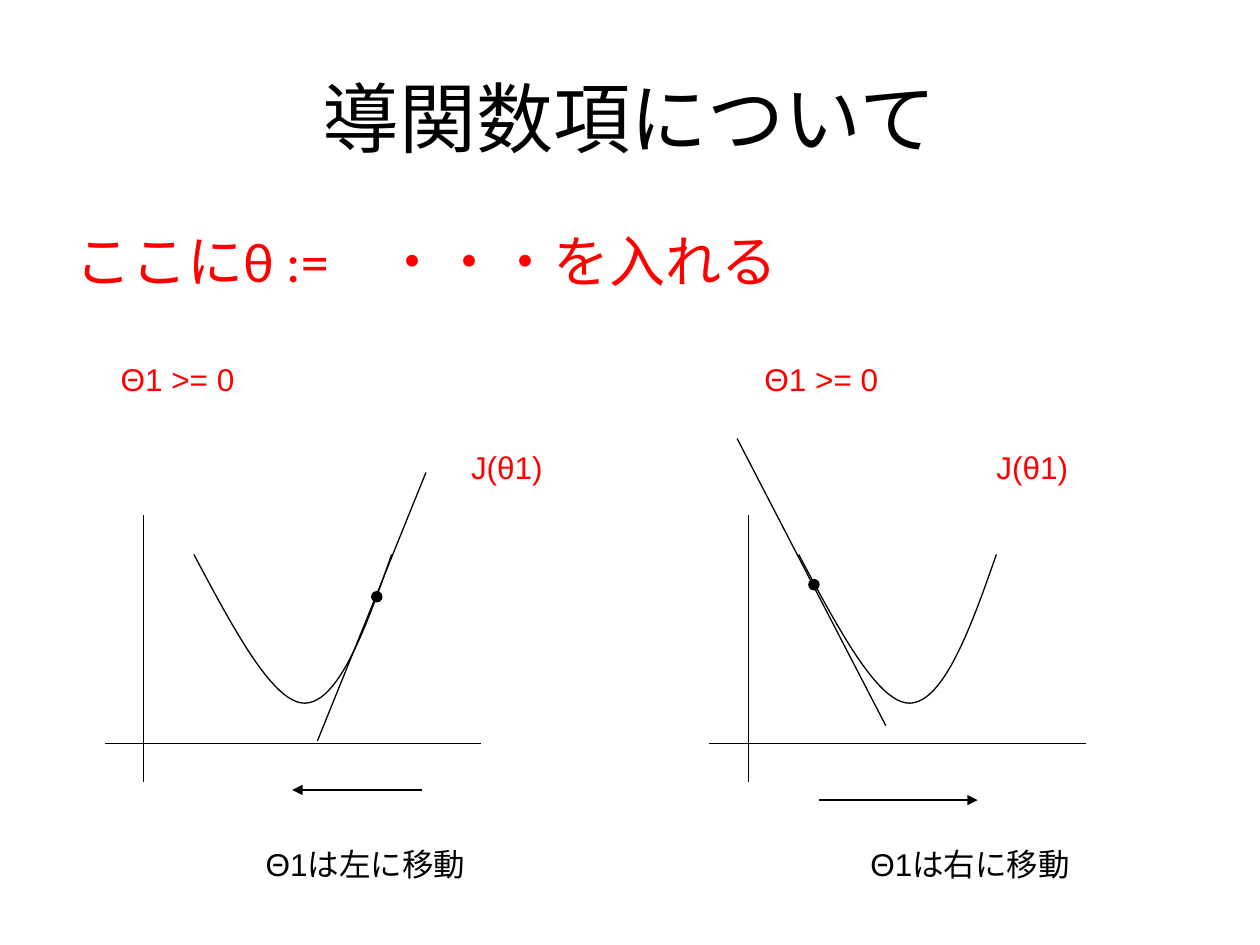
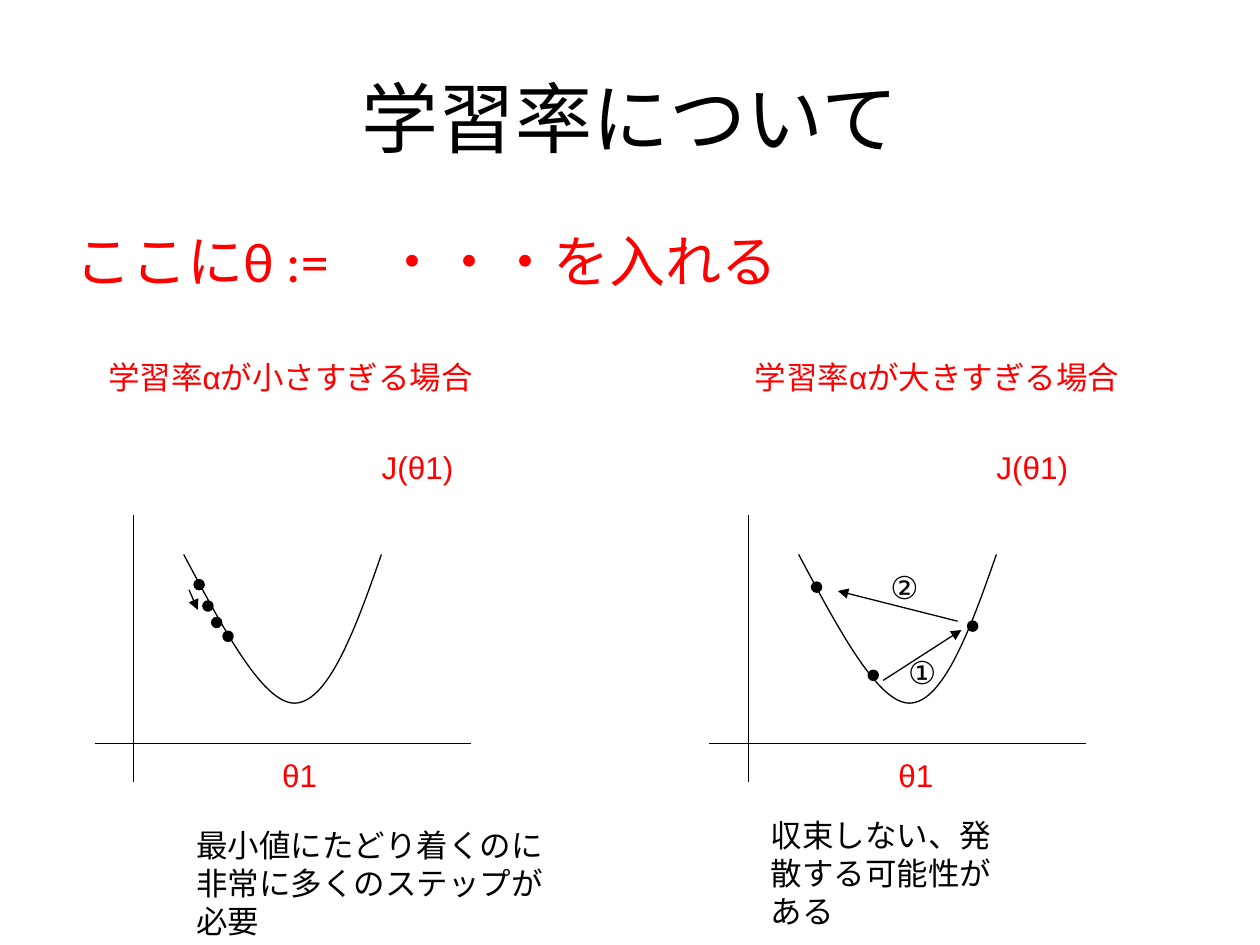
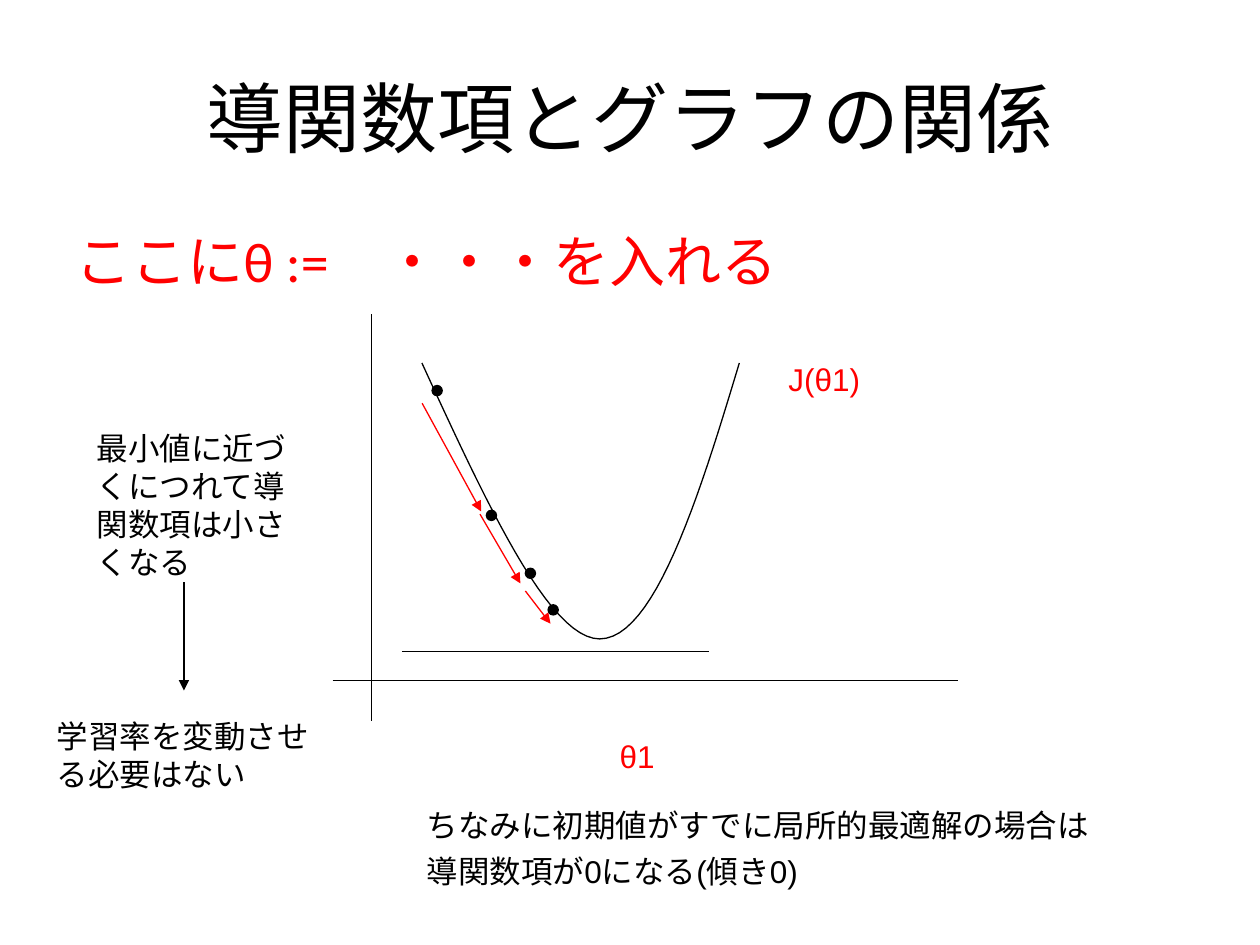
from lxml.etree import SubElement
from pptx import Presentation
from pptx.dml.color import RGBColor
from pptx.enum.shapes import MSO_CONNECTOR, MSO_SHAPE
from pptx.enum.text import MSO_ANCHOR, MSO_AUTO_SIZE, PP_ALIGN
from pptx.oxml.ns import qn
from pptx.util import Pt

COLORS = {"ink": "000000", "accent": "FF0000", "page": "FFFFFF"}
TITLE_FONT, LABEL_FONT = "Calibri", "Arial"
LINE_WIDTH = 0.75
DOT_SIZE = 5.8
FORMULA = "ここにθ :=\u3000・・・を入れる".replace("\u3000", "　")

# Plot parts are measured from the left end of the horizontal axis.
SMALL_PLOT = {"axis_y": 424.8, "axis_width": 215.3, "upright": (22.4, 447.1, 294.5),
              "curve": (51, 316.8, 113, 85)}
LARGE_PLOT = {"axis_y": 388.8, "axis_width": 357.1, "upright": (22.4, 411.8, 179.3),
              "curve": (51, 207.4, 181.4, 157.7)}

# Two cubic segments of the cost curve, as fractions of its frame.
CURVE_SEGMENTS = [
    [(0, 0), (0.2, 0.5), (0.4, 1), (0.56, 1)],
    [(0.56, 1), (0.73, 1), (0.87, 0.5), (1, 0)],
]
CURVE_STEPS = 24

# plots: (left, plot); lines and arrows: (x1, y1, x2, y2); dots: centres
# labels: (text, left, top, width, height); notes wrap and are black
SLIDES = [
    {
        "title": "導関数項について",
        "plots": [(59.8, SMALL_PLOT), (405.4, SMALL_PLOT)],
        "lines": [(181.4, 423.4, 243.4, 270), (421.2, 250.6, 506.2, 414.7)],
        "arrows": [(241.2, 451.4, 167, 451.4), (468, 457.2, 558.7, 457.2)],
        "dots": [(215.3, 341), (465.1, 334.1)],
        "labels": [
            ("Θ1 >= 0", 61.9, 202.3, 79.2, 28.8),
            ("Θ1 >= 0", 429.8, 202.3, 79.2, 28.8),
            ("J(θ1)", 262.1, 252.7, 60.5, 28.8),
            ("J(θ1)", 562.3, 252.7, 60.5, 28.8),
        ],
        "notes": [
            ("Θ1は左に移動", 144.7, 479.5, 153.4, 28.8),
            ("Θ1は右に移動", 490.3, 479.5, 153.4, 28.8),
        ],
    },
    {
        "title": "学習率について",
        "plots": [(54, SMALL_PLOT), (405.4, SMALL_PLOT)],
        "arrows": [(108, 337, 113, 348.5), (504.7, 388.8, 549.4, 360),
                   (547.2, 355, 478.8, 337.7)],
        "dots": [(113.8, 334.1), (118.8, 346.3), (123.8, 355.7), (130.3, 363.6),
                 (499, 385.9), (555.8, 357.8), (466.6, 335.5)],
        "labels": [
            ("学習率αが小さすぎる場合", 54.7, 200.9, 231.1, 28.8),
            ("学習率αが大きすぎる場合", 424.1, 200.9, 231.1, 28.8),
            ("J(θ1)", 211, 252.7, 60.5, 28.8),
            ("J(θ1)", 562.3, 252.7, 60.5, 28.8),
            ("θ1", 154.1, 428.4, 34.6, 28.8),
            ("θ1", 506.2, 428.4, 34.6, 28.8),
        ],
        "notes": [
            ("最小値にたどり着くのに非常に多くのステップが必要", 105.1, 468.7, 215.3, 72),
            ("収束しない、発散する可能性がある", 433.4, 463, 153.4, 72),
            ("①", 511.9, 369.4, 62.6, 28.8),
            ("②", 501.8, 321.1, 62.6, 28.8),
        ],
    },
    {
        "title": "導関数項とグラフの関係",
        "plots": [(190.1, LARGE_PLOT)],
        "lines": [(229.7, 372.2, 405.4, 372.2)],
        "arrows": [(105.1, 332.6, 105.1, 394.6)],
        "steps": [(241.2, 230.4, 275, 292.3), (274.3, 293.8, 297.4, 333.4),
                  (300.2, 337.7, 314.6, 356.4)],
        "dots": [(249.8, 223.2), (280.8, 294.5), (303.1, 327.6), (316.1, 348.5)],
        "labels": [
            ("J(θ1)", 443.5, 202.3, 60.5, 28.8),
            ("θ1", 347, 417.6, 34.6, 28.8),
        ],
        "notes": [
            ("最小値に近づくにつれて導関数項は小さくなる", 48.2, 241.9, 137.5, 93.6),
            ("学習率を変動させる必要はない", 25.2, 406.1, 164.2, 50.4),
        ],
        "remarks": [
            ("ちなみに初期値がすでに局所的最適解の場合は\n導関数項が0になる(傾き0)",
             236.9, 457.2, 392.4, 76),
        ],
    },
]


def color(name):
    return RGBColor.from_string(COLORS[name])


def write_text(frame, text, size=18, font=LABEL_FONT, ink="ink", before=0,
               align=PP_ALIGN.LEFT, wrap=True):
    frame.word_wrap = wrap
    for index, line in enumerate(text.split("\n")):
        paragraph = frame.paragraphs[0] if index == 0 else frame.add_paragraph()
        paragraph.alignment = align
        paragraph.space_before = Pt(before)
        run = paragraph.add_run()
        run.text = line
        run.font.name = font
        run.font.size = Pt(size)
        run.font.color.rgb = color(ink)


def place(shape, left, top, width, height):
    shape.left, shape.top, shape.width, shape.height = map(Pt, (left, top, width, height))


def add_text(slide, text, left, top, width, height, grow=True, **text_format):
    box = slide.shapes.add_textbox(*map(Pt, (left, top, width, height)))
    write_text(box.text_frame, text, **text_format)
    box.text_frame.auto_size = (MSO_AUTO_SIZE.SHAPE_TO_FIT_TEXT if grow
                                else MSO_AUTO_SIZE.NONE)


def set_line(shape, ink="ink"):
    shape.line.color.rgb = color(ink)
    shape.line.width = Pt(LINE_WIDTH)


def add_line(slide, x1, y1, x2, y2, ink="ink", arrow=False):
    connector = slide.shapes.add_connector(MSO_CONNECTOR.STRAIGHT,
                                           *map(Pt, (x1, y1, x2, y2)))
    set_line(connector, ink)
    properties = connector._element.spPr
    if arrow:
        SubElement(properties.find(qn("a:ln")), qn("a:tailEnd"), type="triangle")
    SubElement(properties, qn("a:effectLst"))


def add_dot(slide, x, y):
    dot = slide.shapes.add_shape(MSO_SHAPE.OVAL, 0, 0, 0, 0)
    place(dot, x - DOT_SIZE / 2, y - DOT_SIZE / 2, DOT_SIZE, DOT_SIZE)
    dot.shadow.inherit = False
    dot.fill.solid()
    dot.fill.fore_color.rgb = color("ink")
    set_line(dot)


def bezier(controls, t):
    weights = ((1 - t) ** 3, 3 * t * (1 - t) ** 2, 3 * t * t * (1 - t), t ** 3)
    return [sum(w * point[axis] for w, point in zip(weights, controls)) for axis in (0, 1)]


def add_curve(slide, left, top, width, height):
    fractions = [bezier(segment, step / CURVE_STEPS)
                 for segment in CURVE_SEGMENTS for step in range(1, CURVE_STEPS + 1)]
    points = [(Pt(left + x * width), Pt(top + y * height)) for x, y in fractions]
    builder = slide.shapes.build_freeform(Pt(left), Pt(top))
    builder.add_line_segments(points, close=False)
    curve = builder.convert_to_shape()
    curve.shadow.inherit = False
    curve.fill.background()
    set_line(curve)


def add_plot(slide, left, plot):
    axis_y = plot["axis_y"]
    add_line(slide, left, axis_y, left + plot["axis_width"], axis_y)
    offset, bottom, top = plot["upright"]
    add_line(slide, left + offset, bottom, left + offset, top)
    curve_offset, *frame = plot["curve"]
    add_curve(slide, left + curve_offset, *frame)


def add_slide(presentation, content):
    slide = presentation.slides.add_slide(presentation.slide_layouts[5])
    slide.background.fill.solid()
    slide.background.fill.fore_color.rgb = color("page")

    title = slide.shapes.title
    place(title, 36, 21.6, 648, 90)
    title.text_frame.vertical_anchor = MSO_ANCHOR.MIDDLE
    write_text(title.text_frame, content["title"], size=44, font=TITLE_FONT,
               align=PP_ALIGN.CENTER)
    add_text(slide, FORMULA, 36, 126, 648, 356.4, grow=False, size=32,
             font=TITLE_FONT, ink="accent", before=8)

    for left, plot in content["plots"]:
        add_plot(slide, left, plot)
    for ends in content.get("lines", []):
        add_line(slide, *ends)
    for ends in content["arrows"]:
        add_line(slide, *ends, arrow=True)
    for ends in content.get("steps", []):
        add_line(slide, *ends, ink="accent", arrow=True)
    for center in content["dots"]:
        add_dot(slide, *center)
    for label in content["labels"]:
        add_text(slide, *label, ink="accent", before=4.5, wrap=False)
    for note in content["notes"]:
        add_text(slide, *note)
    for remark in content.get("remarks", []):
        add_text(slide, *remark, before=4.5)


def main():
    presentation = Presentation()
    presentation.slide_width, presentation.slide_height = Pt(720), Pt(540)
    for content in SLIDES:
        add_slide(presentation, content)
    presentation.save("out.pptx")


if __name__ == "__main__":
    main()
